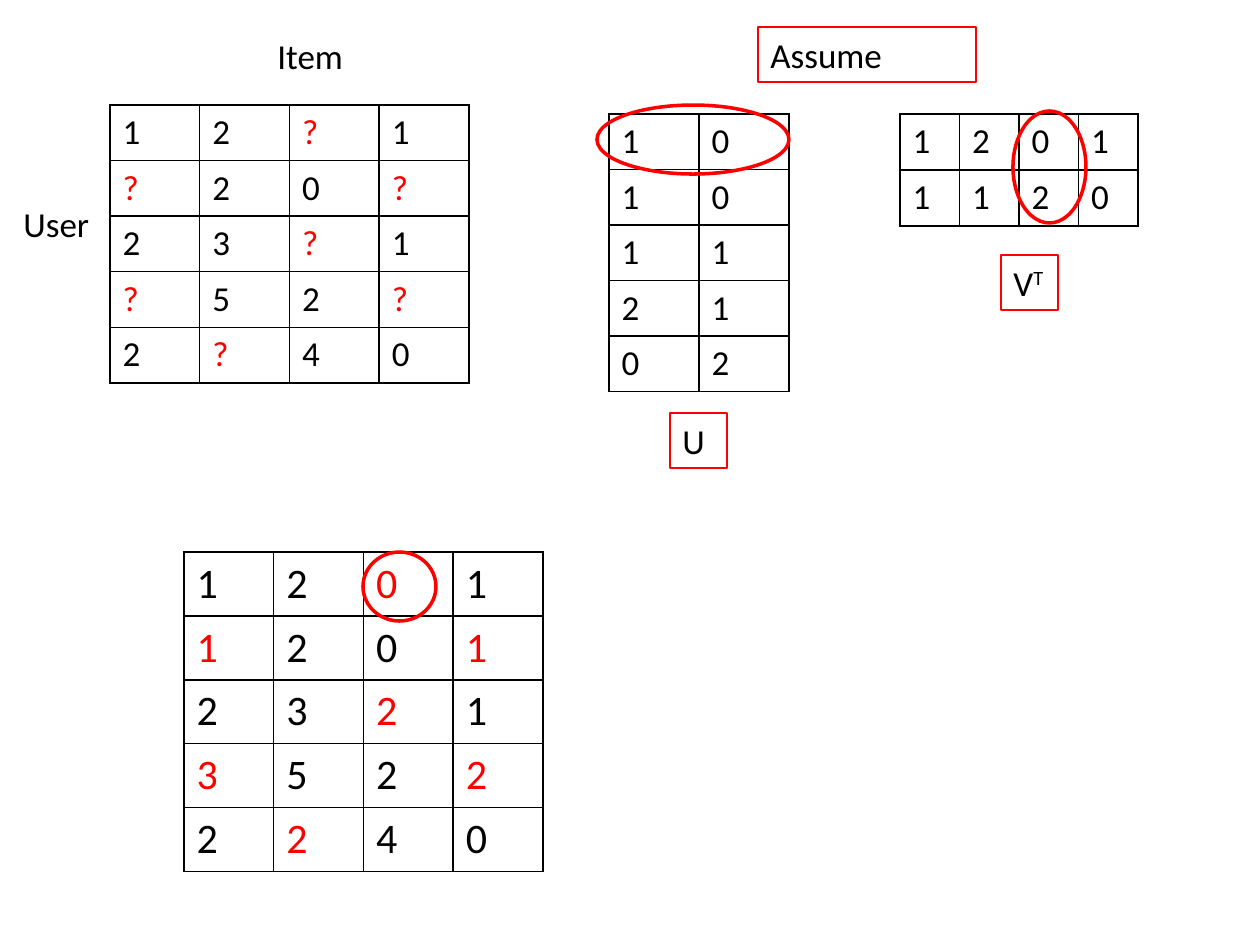
from lxml import etree
from pptx import Presentation
from pptx.dml.color import RGBColor
from pptx.enum.shapes import MSO_SHAPE
from pptx.enum.text import MSO_AUTO_SIZE
from pptx.oxml.ns import qn
from pptx.util import Pt

ELLIPSE = MSO_SHAPE.OVAL
GROW = MSO_AUTO_SIZE.SHAPE_TO_FIT_TEXT
SCALE = 914400 / 126
COLORS = {"ink": "000000", "accent": "FF0000"}


def px(*lengths):
    return [round(length * SCALE) for length in lengths]


def style(run, size, color):
    for name, value in {"name": "Calibri", "size": Pt(size), "bold": False}.items():
        setattr(run.font, name, value)
    run.font.color.rgb = RGBColor.from_string(COLORS[color])


prs = Presentation()
prs.slide_width, prs.slide_height = px(1260, 945)
slide = prs.slides.add_slide(prs.slide_layouts[6])

ratings = ["12?1", "?20?", "23?1", "?52?", "2?40"]
completed = ["1201", "1201", "2321", "3522", "2240"]
user_factors = ["10", "10", "11", "21", "02"]
item_factors = ["1201", "1120"]

matrices = [
    (ratings, ratings, 110, 105, 359, 278, 20),
    (user_factors, user_factors, 609, 114, 180, 274, 20),
    (item_factors, item_factors, 900, 114, 238, 112, 20),
    (completed, ratings, 184, 552, 359, 315, 24),
]
for values, known, left, top, width, height, size in matrices:
    row_count, col_count = len(values), len(values[0])
    matrix = slide.shapes.add_table(row_count, col_count, *px(left, top, width, height)).table
    matrix.first_row = matrix.horz_banding = False
    for column in matrix.columns:
        column.width = px(width / col_count)[0]
    for r, row in enumerate(matrix.rows):
        row.height = px(height / row_count)[0]
        for c, cell in enumerate(row.cells):
            entry = cell.text_frame.paragraphs[0].add_run()
            entry.text = values[r][c]
            style(entry, size, "accent" if known[r][c] == "?" else "ink")
            cell_props = cell._tc.get_or_add_tcPr()
            for side in ("lnL", "lnR", "lnT", "lnB"):
                border = etree.SubElement(cell_props, qn(f"a:{side}"), w=str(Pt(1)))
                paint = etree.SubElement(border, qn("a:solidFill"))
                etree.SubElement(paint, qn("a:srgbClr"), val=COLORS["ink"])
            cell.fill.background()

labels = [
    ("User", "", 11, 196, 100, False),
    ("Item", "", 265, 28, 100, False),
    ("U", "", 670, 413, 57, True),
    ("V", "T", 1001, 255, 57, True),
    ("Assume", "", 758, 27, 218, True),
]
for text, superscript, left, top, width, framed in labels:
    label = slide.shapes.add_textbox(*px(left, top, width, 55))
    for name, value in {"word_wrap": True, "auto_size": GROW}.items():
        setattr(label.text_frame, name, value)
    paragraph = label.text_frame.paragraphs[0]
    for part, baseline in ((text, "0"), (superscript, "30000")):
        if part:
            run = paragraph.add_run()
            run.text = part
            style(run, 20, "ink")
            run.font._element.set("baseline", baseline)
    if framed:
        label.line.color.rgb = RGBColor.from_string(COLORS["accent"])
        label.line.width = Pt(0.75)

highlights = [(597, 105, 192, 69), (363, 552, 73, 69), (1013, 111, 73, 112)]
for bounds in highlights:
    highlight = slide.shapes.add_shape(ELLIPSE, *px(*bounds))
    highlight.shadow.inherit = False
    highlight.fill.background()
    highlight.line.color.rgb = RGBColor.from_string(COLORS["accent"])
    highlight.line.width = Pt(2)

prs.save("out.pptx")
